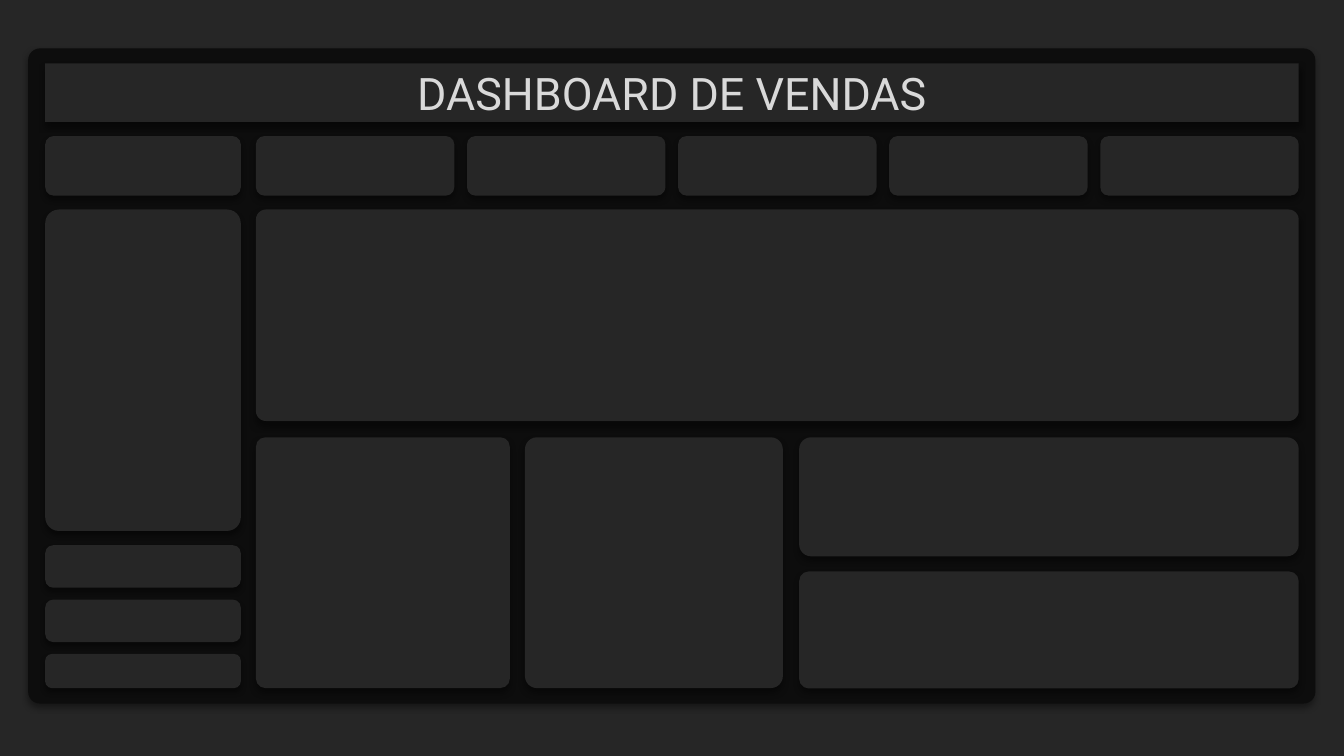
"""Build the dark sales dashboard layout slide."""
from lxml.etree import SubElement
from pptx import Presentation
from pptx.dml.color import RGBColor
from pptx.enum.shapes import MSO_SHAPE as SHAPE
from pptx.enum.text import MSO_ANCHOR as ANCHOR, PP_ALIGN as ALIGN
from pptx.oxml.ns import qn
from pptx.util import Cm, Pt

TITLE = "DASHBOARD DE VENDAS"
FONT = "Roboto"
PANEL = RGBColor(0x26, 0x26, 0x26)
FRAME = RGBColor(0x0D, 0x0D, 0x0D)
TEXT = RGBColor(0xD9, 0xD9, 0xD9)
SHADOW = RGBColor(0, 0, 0)

LEFT, MAIN, RIGHT = 1.14, 6.45, 32.73
SIDE_W, CARD_W, CARDS = 4.93, 5, 5
CARD_Y, CARD_H = 3.43, 1.5
BODY_Y, LOWER_Y, LOWER_H = 5.28, 11.02, 6.32
DETAIL_X = 20.14
FILTER_Y, FILTER_PITCH = 13.74, 1.37
FILTERS = [(1.07, 0.187), (1.07, 0.187), (0.86, 0.195)]

card_pitch = (RIGHT - MAIN - CARD_W) / (CARDS - 1)
detail_w = RIGHT - DETAIL_X

PANELS = [
    (LEFT, CARD_Y, SIDE_W, CARD_H, 0.14),
    *[(MAIN + i * card_pitch, CARD_Y, CARD_W, CARD_H, 0.14) for i in range(CARDS)],
    (LEFT, BODY_Y, SIDE_W, 8.1, 0.07),
    *[(LEFT, FILTER_Y + i * FILTER_PITCH, SIDE_W, h, adj)
      for i, (h, adj) in enumerate(FILTERS)],
    (MAIN, BODY_Y, RIGHT - MAIN, 5.33, 0.048),
    (MAIN, LOWER_Y, 6.4, LOWER_H, 0.038),
    (13.23, LOWER_Y, 6.5, LOWER_H, 0.048),
    (DETAIL_X, LOWER_Y, detail_w, 3, 0.1),
    (DETAIL_X, 14.4, detail_w, 2.95, 0.083),
]


def add_shadow(sp, blur):
    """Give a shape a soft shadow falling straight down."""
    sp_pr = sp._element.spPr
    for old in sp_pr.findall(qn("a:effectLst")):
        sp_pr.remove(old)
    effects = SubElement(sp_pr, qn("a:effectLst"))
    outer = SubElement(effects, qn("a:outerShdw"), blurRad=str(Pt(blur)),
                       dist=str(Pt(3)), dir="5400000", algn="t", rotWithShape="0")
    color = SubElement(outer, qn("a:srgbClr"), val=str(SHADOW))
    SubElement(color, qn("a:alpha"), val="40000")


def paint(sp, color, blur):
    """Fill a shape, hide its outline and add its shadow."""
    sp.fill.solid()
    sp.fill.fore_color.rgb = color
    sp.line.fill.background()
    add_shadow(sp, blur)


def add_panel(s, x, y, w, h, adj, color=PANEL):
    """Add a rounded panel."""
    sp = s.shapes.add_shape(SHAPE.ROUNDED_RECTANGLE, Cm(x), Cm(y), Cm(w), Cm(h))
    sp.adjustments[0] = adj
    paint(sp, color, 4 if x < MAIN else 5)


def add_title(s):
    """Turn the title placeholder into the rounded header bar."""
    sp = s.shapes.title
    sp.left, sp.top = Cm(LEFT), Cm(1.6)
    sp.width, sp.height = Cm(RIGHT - LEFT), Cm(1.47)
    geometry = SubElement(sp._element.spPr, qn("a:prstGeom"), prst="roundRect")
    guides = SubElement(geometry, qn("a:avLst"))
    SubElement(guides, qn("a:gd"), name="adj", fmla="val 14000")
    paint(sp, PANEL, 5)
    tf = sp.text_frame
    tf.text = TITLE
    tf.word_wrap = True
    tf.vertical_anchor = ANCHOR.MIDDLE
    p = tf.paragraphs[0]
    p.alignment = ALIGN.CENTER
    p.font.name, p.font.size = FONT, Pt(32)
    p.font.color.rgb = TEXT
    s.shapes._spTree.append(sp._element)


def main():
    """Assemble and save the slide."""
    prs = Presentation()
    prs.slide_width, prs.slide_height = Cm(33.87), Cm(19.05)
    s = prs.slides.add_slide(prs.slide_layouts[5])
    s.background.fill.solid()
    s.background.fill.fore_color.rgb = PANEL
    add_panel(s, 0.71, 1.22, 32.44, 16.51, 0.018, FRAME)
    for panel in PANELS:
        add_panel(s, *panel)
    add_title(s)
    prs.save("out.pptx")


if __name__ == "__main__":
    main()
